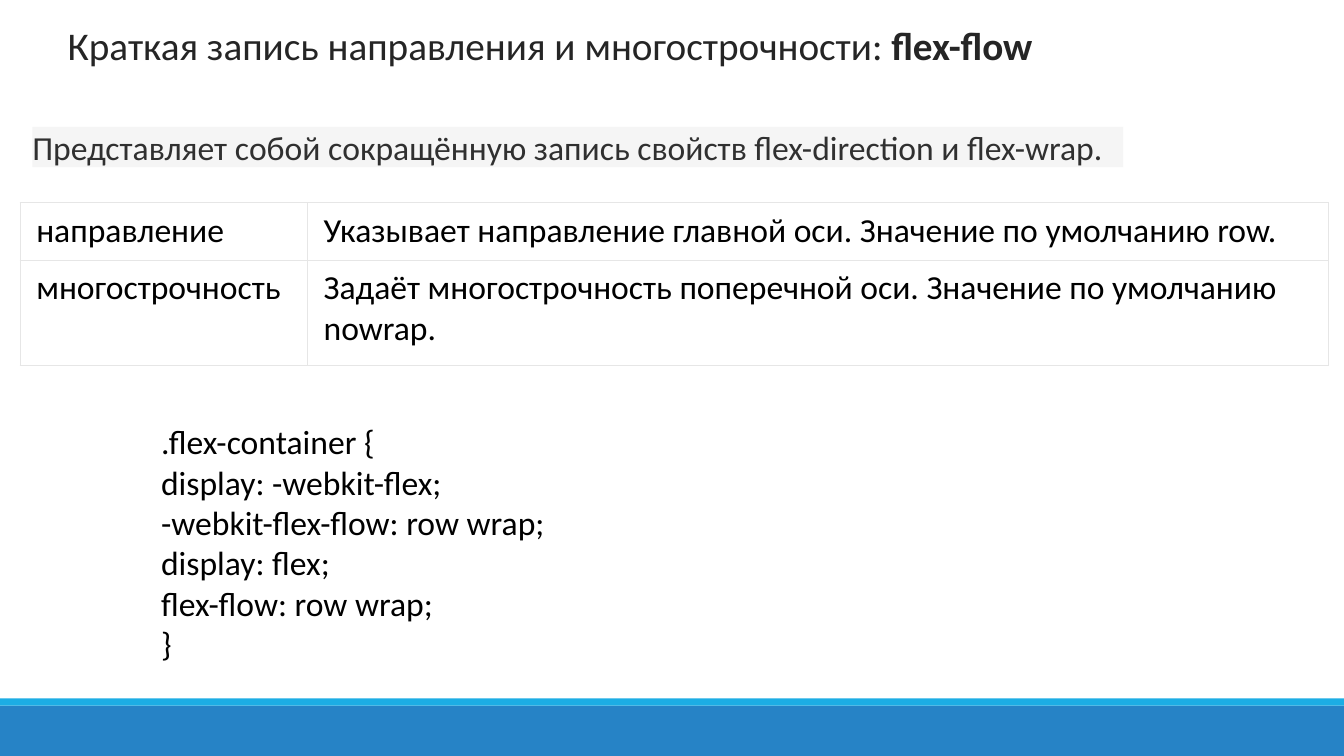
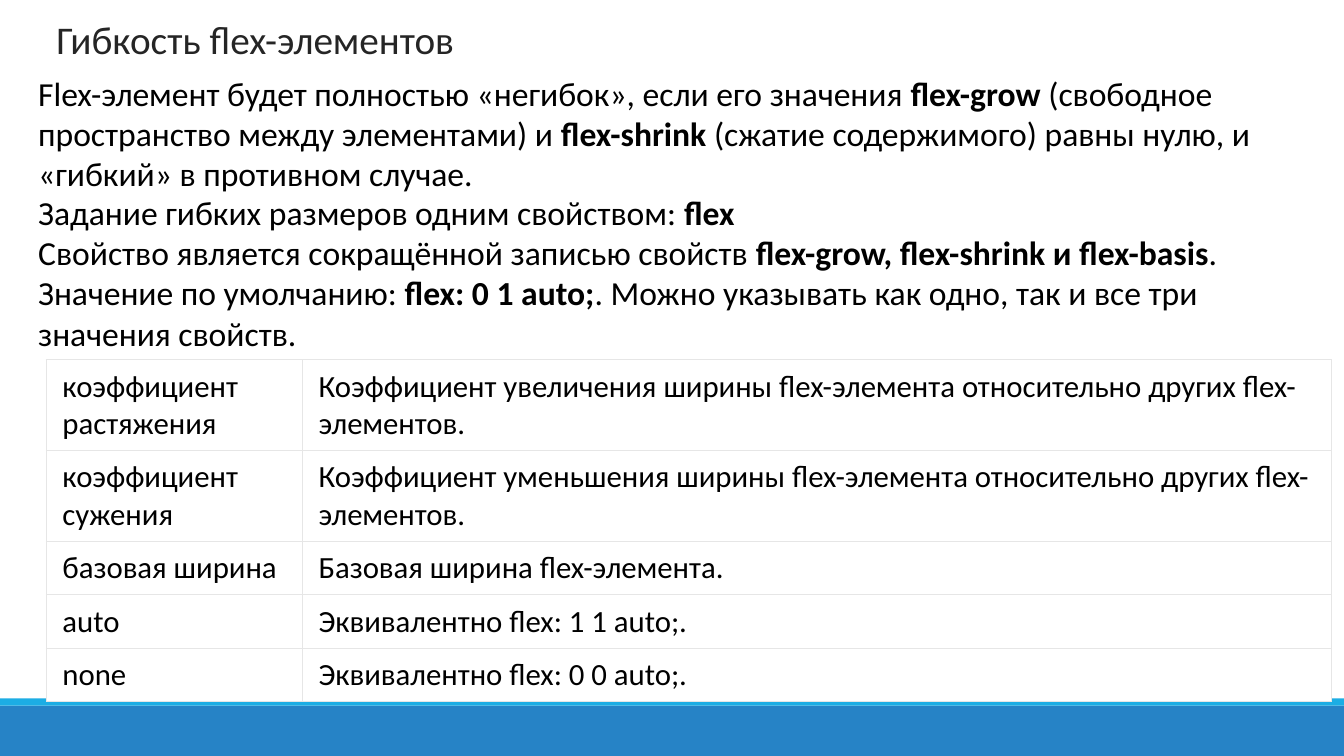
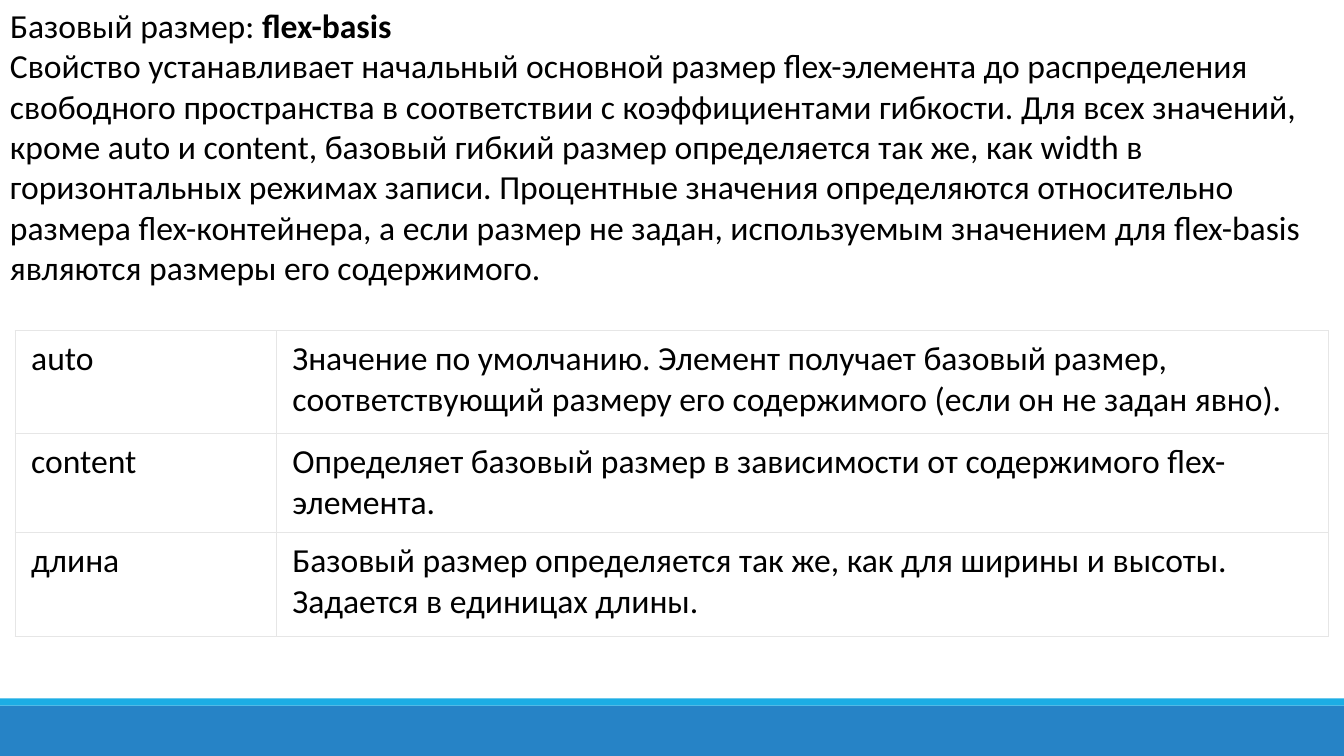
from lxml.etree import SubElement
from pptx import Presentation
from pptx.dml.color import RGBColor
from pptx.enum.shapes import MSO_SHAPE
from pptx.enum.text import MSO_ANCHOR, MSO_AUTO_SIZE, PP_ALIGN
from pptx.oxml.ns import qn
from pptx.util import Inches, Pt

COLORS = {
    "band": "2683C6",
    "stripe": "1CADE4",
    "title": "252525",
    "note": "303030",
    "note_fill": "F5F5F5",
    "text": "000000",
    "cell": "FFFFFF",
    "border": "E6E6E6",
}
FONT = "Calibri"
WIDTH, HEIGHT = 13.33, 7.5


def color(name):
    return RGBColor.from_string(COLORS[name])


def write(frame, *lines, size=24, ink="text", anchor=MSO_ANCHOR.TOP):
    """Write one paragraph per line; **marks** enclose bold words."""
    frame.word_wrap = True
    frame.vertical_anchor = anchor
    for index, line in enumerate(lines):
        para = frame.add_paragraph() if index else frame.paragraphs[0]
        para.alignment = PP_ALIGN.LEFT
        for part, words in enumerate(line.split("**")):
            if not words:
                continue
            span = para.add_run()
            span.text = words
            span.font.name = FONT
            span.font.size = Pt(size)
            span.font.bold = part % 2 == 1
            span.font.color.rgb = color(ink)


def add_borders(cell):
    properties = cell._tc.get_or_add_tcPr()
    for index, side in enumerate(("a:lnL", "a:lnR", "a:lnT", "a:lnB")):
        line = SubElement(properties, qn(side), w=str(Pt(0.75)))
        fill = SubElement(line, qn("a:solidFill"))
        SubElement(fill, qn("a:srgbClr"), val=COLORS["border"])
        properties.insert(index, line)


class Slides:
    def __init__(self):
        self.deck = Presentation()
        self.deck.slide_width = Inches(WIDTH)
        self.deck.slide_height = Inches(HEIGHT)
        self.page = None

    def new_page(self, title, left, top, width, height=0.57, **style):
        self.page = self.deck.slides.add_slide(self.deck.slide_layouts[5])
        # Footer bands
        self.rectangle(0, 7, WIDTH, 0.5, "band")
        self.rectangle(0, 6.93, WIDTH, 0.07, "stripe")
        # Title
        box = self.page.shapes.title
        box.left, box.top = Inches(left), Inches(top)
        box.width, box.height = Inches(width), Inches(height)
        box.text_frame.auto_size = MSO_AUTO_SIZE.NONE
        write(box.text_frame, title, **style)

    def rectangle(self, left, top, width, height, fill):
        box = self.page.shapes.add_shape(
            MSO_SHAPE.RECTANGLE, Inches(left), Inches(top), Inches(width), Inches(height))
        box.shadow.inherit = False
        box.fill.solid()
        box.fill.fore_color.rgb = color(fill)
        box.line.fill.background()
        return box

    def note(self, text, left, top, width, height):
        frame = self.rectangle(left, top, width, height, "note_fill").text_frame
        frame.margin_left = frame.margin_right = 0
        frame.margin_top = frame.margin_bottom = 0
        write(frame, text, ink="note", anchor=MSO_ANCHOR.MIDDLE)

    def text(self, lines, left, top, width, height):
        box = self.page.shapes.add_textbox(
            Inches(left), Inches(top), Inches(width), Inches(height))
        write(box.text_frame, *lines)

    def table(self, rows, left, top, widths, heights, size=24):
        table = self.page.shapes.add_table(
            len(rows), len(widths), Inches(left), Inches(top),
            Inches(sum(widths)), Inches(sum(heights))).table
        table.first_row = table.horz_banding = False
        for column, width in zip(table.columns, widths):
            column.width = Inches(width)
        for row, height, texts in zip(table.rows, heights, rows):
            row.height = Inches(height)
            for cell, text in zip(row.cells, texts):
                cell.margin_left = cell.margin_right = Inches(0.16)
                cell.margin_top = cell.margin_bottom = Inches(0.08)
                cell.fill.solid()
                cell.fill.fore_color.rgb = color("cell")
                add_borders(cell)
                write(cell.text_frame, text, size=size)


def main():
    slides = Slides()
    heading = {"size": 28, "ink": "title"}

    # flex-flow
    slides.new_page("Краткая запись направления и многострочности: **flex-flow**",
                    0.57, 0.16, 12.4, **heading)
    slides.note("Представляет собой сокращённую запись свойств flex-direction и flex-wrap.",
                0.32, 1.26, 10.82, 0.4)
    slides.table([
        ("направление",
         "Указывает направление главной оси. Значение по умолчанию row."),
        ("многострочность",
         "Задаёт многострочность поперечной оси. Значение по умолчанию nowrap."),
    ], 0.2, 2.01, (2.85, 10.13), (0.57, 1.05))
    slides.text([
        ".flex-container {",
        "display: -webkit-flex;",
        "-webkit-flex-flow: row wrap;",
        "display: flex;",
        "flex-flow: row wrap;",
        "}",
    ], 1.5, 4.13, 6.67, 2.52)

    # flex
    slides.new_page("Гибкость flex-элементов", 0.46, 0.1, 4.5, **heading)
    slides.text([
        "Flex-элемент будет полностью «негибок», если его значения **flex-grow** "
        "(свободное пространство между элементами) и **flex-shrink **"
        "(сжатие содержимого) равны нулю, и «гибкий» в противном случае.",
    ], 0.28, 0.67, 12.75, 1.32)
    slides.text([
        "Задание гибких размеров одним свойством: **flex**",
        "Свойство является сокращённой записью свойств "
        "**flex-grow, flex-shrink и flex-basis**. Значение по умолчанию: "
        "**flex: 0 1 auto;**. Можно указывать как одно, так и все три значения свойств.",
    ], 0.28, 1.85, 12.4, 1.72)
    slides.table([
        ("коэффициент растяжения",
         "Коэффициент увеличения ширины flex-элемента относительно других flex-элементов."),
        ("коэффициент сужения",
         "Коэффициент уменьшения ширины flex-элемента относительно других flex-элементов."),
        ("базовая ширина", "Базовая ширина flex-элемента."),
        ("auto", "Эквивалентно flex: 1 1 auto;."),
        ("none", "Эквивалентно flex: 0 0 auto;."),
    ], 0.46, 3.57, (2.54, 10.21), (0.9, 0.9, 0.53, 0.53, 0.53), size=22)

    # flex-basis
    slides.new_page("Базовый размер: **flex-basis**", 0, 0, WIDTH, 0.5)
    slides.text([
        "Свойство устанавливает начальный основной размер flex-элемента до распределения "
        "свободного пространства в соответствии с коэффициентами гибкости. Для всех "
        "значений, кроме auto и content, базовый гибкий размер определяется так же, как "
        "width в горизонтальных режимах записи. Процентные значения определяются "
        "относительно размера flex-контейнера, а если размер не задан, используемым "
        "значением для flex-basis являются размеры его содержимого.",
    ], 0, 0.4, WIDTH, 2.53)
    slides.table([
        ("auto",
         "Значение по умолчанию. Элемент получает базовый размер, соответствующий "
         "размеру его содержимого (если он не задан явно)."),
        ("content",
         "Определяет базовый размер в зависимости от содержимого flex-элемента."),
        ("длина",
         "Базовый размер определяется так же, как для ширины и высоты. "
         "Задается в единицах длины."),
    ], 0.15, 3.28, (2.59, 10.44), (1.02, 0.98, 1.03))

    slides.deck.save("out.pptx")


if __name__ == "__main__":
    main()
